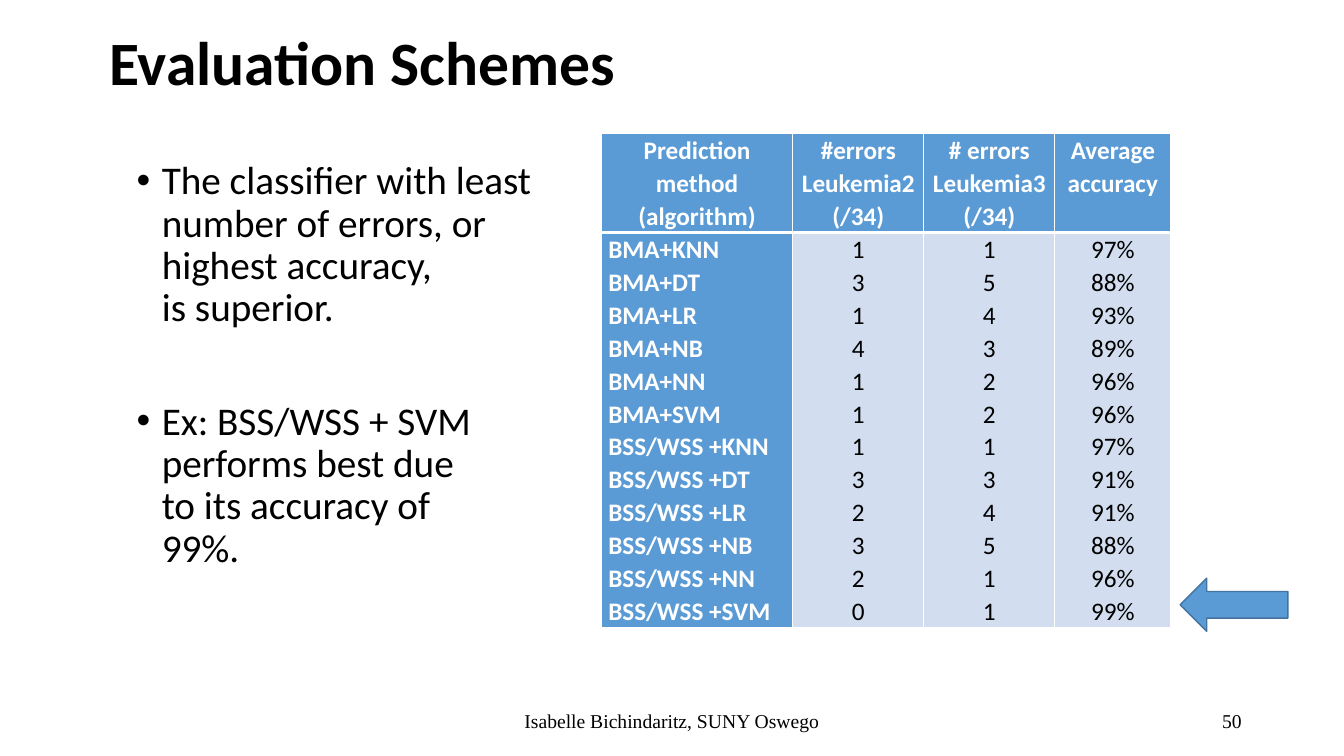
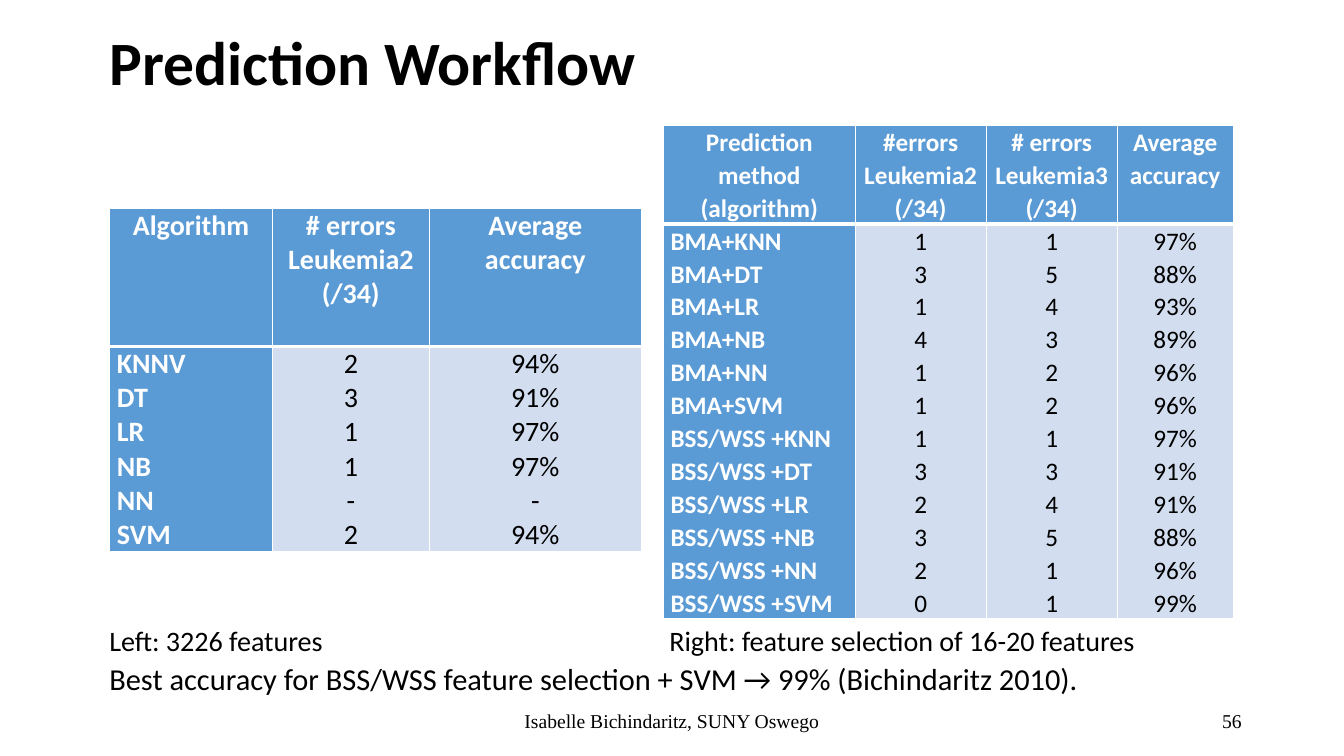
from lxml.etree import SubElement
from pptx import Presentation
from pptx.dml.color import RGBColor
from pptx.enum.shapes import MSO_SHAPE as Shape
from pptx.enum.text import MSO_ANCHOR as Anchor, PP_ALIGN as Align
from pptx.oxml.ns import qn
from pptx.util import Pt

COLORS = {
    "text": "000000",
    "light": "FFFFFF",
    "accent": "5B9BD5",
    "accent_edge": "43739E",
    "cell": "D2DEEF",
}
BODY_FONT, FOOTER_FONT = "Calibri", "Times New Roman"
FOOTER = "Isabelle Bichindaritz, SUNY Oswego"

SELECTION_HEADERS = [
    "Prediction method (algorithm)",
    "#errors\nLeukemia2\n(/34)",
    "# errors\nLeukemia3\n(/34)",
    "Average accuracy",
]
SELECTION_RESULTS = [
    ("BMA+KNN", "1", "1", "97%"),
    ("BMA+DT", "3", "5", "88%"),
    ("BMA+LR", "1", "4", "93%"),
    ("BMA+NB", "4", "3", "89%"),
    ("BMA+NN", "1", "2", "96%"),
    ("BMA+SVM", "1", "2", "96%"),
    ("BSS/WSS +KNN", "1", "1", "97%"),
    ("BSS/WSS +DT", "3", "3", "91%"),
    ("BSS/WSS +LR", "2", "4", "91%"),
    ("BSS/WSS +NB", "3", "5", "88%"),
    ("BSS/WSS +NN", "2", "1", "96%"),
    ("BSS/WSS +SVM", "0", "1", "99%"),
]
ALL_FEATURES_HEADERS = ["Algorithm", "# errors\nLeukemia2\n(/34)", "Average accuracy"]
ALL_FEATURES_RESULTS = [
    ("KNNV", "2", "94%"),
    ("DT", "3", "91%"),
    ("LR", "1", "97%"),
    ("NB", "1", "97%"),
    ("NN", "-", "-"),
    ("SVM", "2", "94%"),
]
CRITERIA = [
    "The classifier with least\nnumber of errors, or\nhighest accuracy,\nis superior.",
    "Ex: BSS/WSS + SVM\nperforms best due\nto its accuracy of\n99%.",
]


def rgb(name):
    return RGBColor.from_string(COLORS[name])


def add_run(paragraph, text, size, color="text", bold=False, font=BODY_FONT):
    run = paragraph.add_run()
    run.text = text
    run.font.size = Pt(size)
    run.font.name = font
    run.font.bold = bold
    run.font.color.rgb = rgb(color)


def next_paragraph(frame, index):
    return frame.add_paragraph() if index else frame.paragraphs[0]


def add_frame(slide, box, anchor=Anchor.TOP):
    frame = slide.shapes.add_textbox(*map(Pt, box)).text_frame
    frame.word_wrap = True
    frame.vertical_anchor = anchor
    return frame


def add_title(slide, box, text):
    paragraph = add_frame(slide, box, Anchor.BOTTOM).paragraphs[0]
    paragraph.line_spacing = 0.9
    add_run(paragraph, text, 44, bold=True)


def add_footer(slide, box, text, align):
    paragraph = add_frame(slide, box, Anchor.MIDDLE).paragraphs[0]
    paragraph.alignment = align
    add_run(paragraph, text, 14, font=FOOTER_FONT)


def new_slide(deck, title, number):
    slide = deck.slides.add_slide(deck.slide_layouts[6])
    add_title(slide, (71, 0, 823, 74), title)
    add_footer(slide, (318, 500, 324, 29), FOOTER, Align.CENTER)
    add_footer(slide, (678, 500, 216, 29), number, Align.RIGHT)
    return slide


def add_borders(cell, **widths):
    properties = cell._tc.get_or_add_tcPr()
    for side in "LRTB":
        line = SubElement(properties, qn(f"a:ln{side}"), w=str(Pt(widths.get(side, 1))))
        fill = SubElement(line, qn("a:solidFill"))
        SubElement(fill, qn("a:srgbClr"), val=COLORS["light"])


def fill_cell(cell, lines, size, spacing, centered, emphasized):
    cell.margin_left = cell.margin_right = Pt(5)
    cell.margin_top = cell.margin_bottom = 0
    cell.fill.solid()
    cell.fill.fore_color.rgb = rgb("accent" if emphasized else "cell")
    for index, line in enumerate(lines):
        paragraph = next_paragraph(cell.text_frame, index)
        paragraph.alignment = Align.CENTER if centered else Align.LEFT
        paragraph.line_spacing = spacing
        add_run(paragraph, line, size, "light" if emphasized else "text", emphasized)


def add_results(slide, origin, widths, heights, headers, results, size, spacing):
    """Place a header row over one tall row that stacks each column's results."""
    left, top = origin
    table = slide.shapes.add_table(
        2, len(widths), Pt(left), Pt(top), Pt(sum(widths)), Pt(sum(heights))
    ).table
    table.first_row = table.horz_banding = False
    for row, height in zip(table.rows, heights):
        row.height = Pt(height)
    for index, (width, header, values) in enumerate(zip(widths, headers, zip(*results))):
        table.columns[index].width = Pt(width)
        head, body = table.cell(0, index), table.cell(1, index)
        add_borders(head, B=3)
        add_borders(body, T=3)
        fill_cell(head, header.split("\n"), size, spacing, True, True)
        fill_cell(body, values, size, spacing, index > 0, index == 0)


def add_selection_results(slide, origin):
    add_results(slide, origin, (136.8, 93.6, 93.6, 82.8), (70.5, 282),
                SELECTION_HEADERS, SELECTION_RESULTS, 18, 1.07)


def add_criteria(slide, box):
    frame = add_frame(slide, box)
    for index, criterion in enumerate(CRITERIA):
        paragraph = next_paragraph(frame, index)
        properties = paragraph._p.get_or_add_pPr()
        properties.set("marL", str(Pt(18)))
        properties.set("indent", str(Pt(-18)))
        SubElement(properties, qn("a:buFont"), typeface="Arial")
        SubElement(properties, qn("a:buChar"), char="•")
        paragraph.line_spacing = 0.9
        if index:
            paragraph.space_before = Pt(50.5)
        for number, line in enumerate(criterion.split("\n")):
            if number:
                paragraph.add_line_break()
            add_run(paragraph, line, 28)


def add_best_arrow(slide, box):
    arrow = slide.shapes.add_shape(Shape.LEFT_ARROW, *map(Pt, box))
    arrow.shadow.inherit = False
    arrow.fill.solid()
    arrow.fill.fore_color.rgb = rgb("accent")
    arrow.line.color.rgb = rgb("accent_edge")
    arrow.line.width = Pt(1)


def add_conclusion(slide, box):
    frame = add_frame(slide, box)
    captions, verdict = frame.paragraphs[0], frame.add_paragraph()
    tabs = SubElement(captions._p.get_or_add_pPr(), qn("a:tabLst"))
    SubElement(tabs, qn("a:tab"), pos=str(Pt(400)), algn="l")
    captions.line_spacing = verdict.line_spacing = 0.7
    verdict.space_before = Pt(10)
    add_run(captions, "Left: 3226 features\tRight: feature selection of 16-20 features", 20.1)
    add_run(verdict, "Best accuracy for BSS/WSS feature selection + SVM → 99% "
                     "(Bichindaritz 2010).", 21.7)


def build_evaluation(deck):
    slide = new_slide(deck, "Evaluation Schemes", "50")
    add_selection_results(slide, (429.5, 95.5))
    add_criteria(slide, (90.5, 111.5, 335, 372))
    add_best_arrow(slide, (843, 413, 77, 38))


def build_workflow(deck):
    slide = new_slide(deck, "Prediction Workflow", "56")
    add_conclusion(slide, (71, 448, 888, 53))
    add_selection_results(slide, (474, 89.5))
    add_results(slide, (78.5, 149), (116, 112.3, 151.2), (98.6, 146.4),
                ALL_FEATURES_HEADERS, ALL_FEATURES_RESULTS, 20, 1.0)


def main():
    deck = Presentation()
    deck.slide_width, deck.slide_height = Pt(960), Pt(540)
    build_evaluation(deck)
    build_workflow(deck)
    deck.save("out.pptx")


if __name__ == "__main__":
    main()
